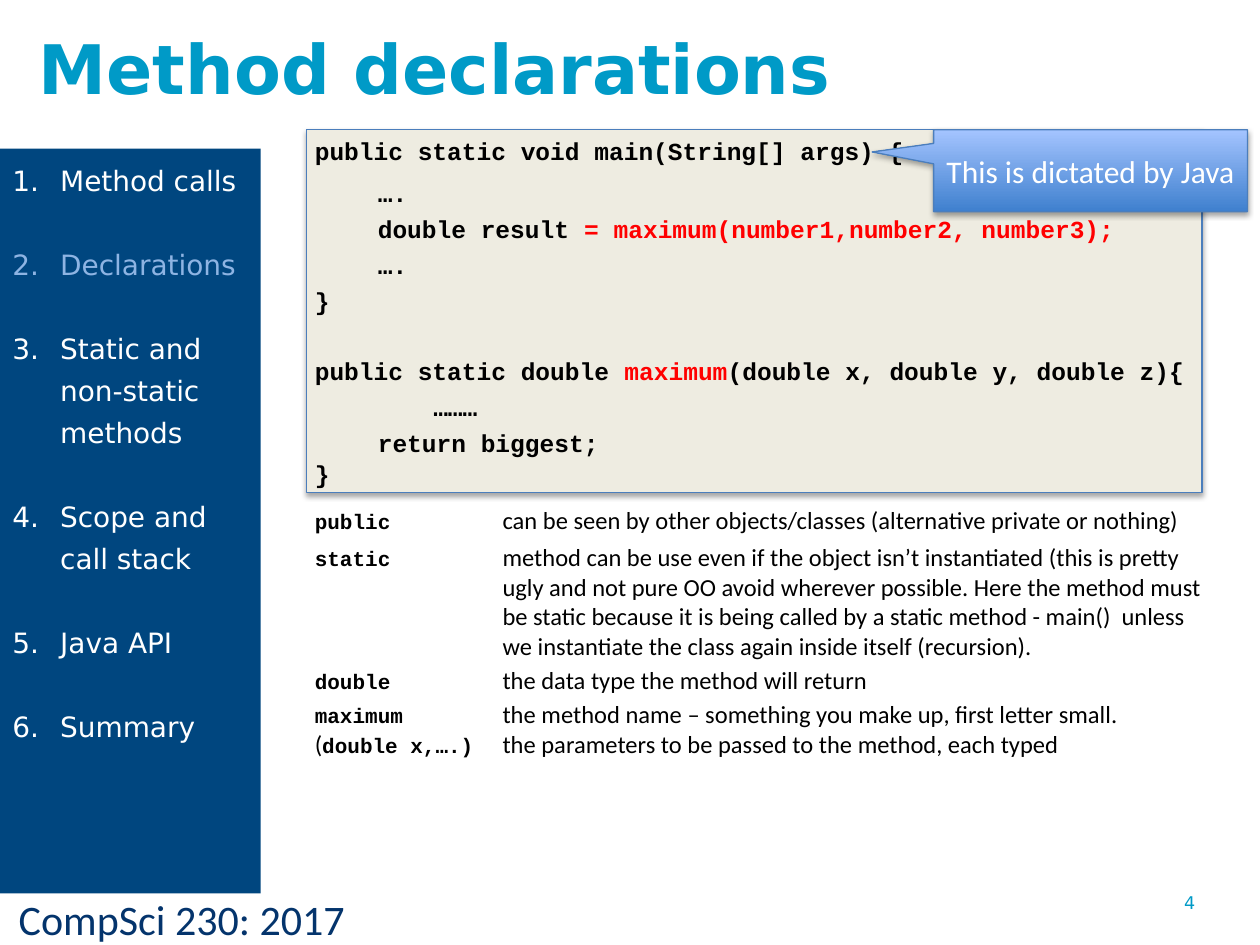
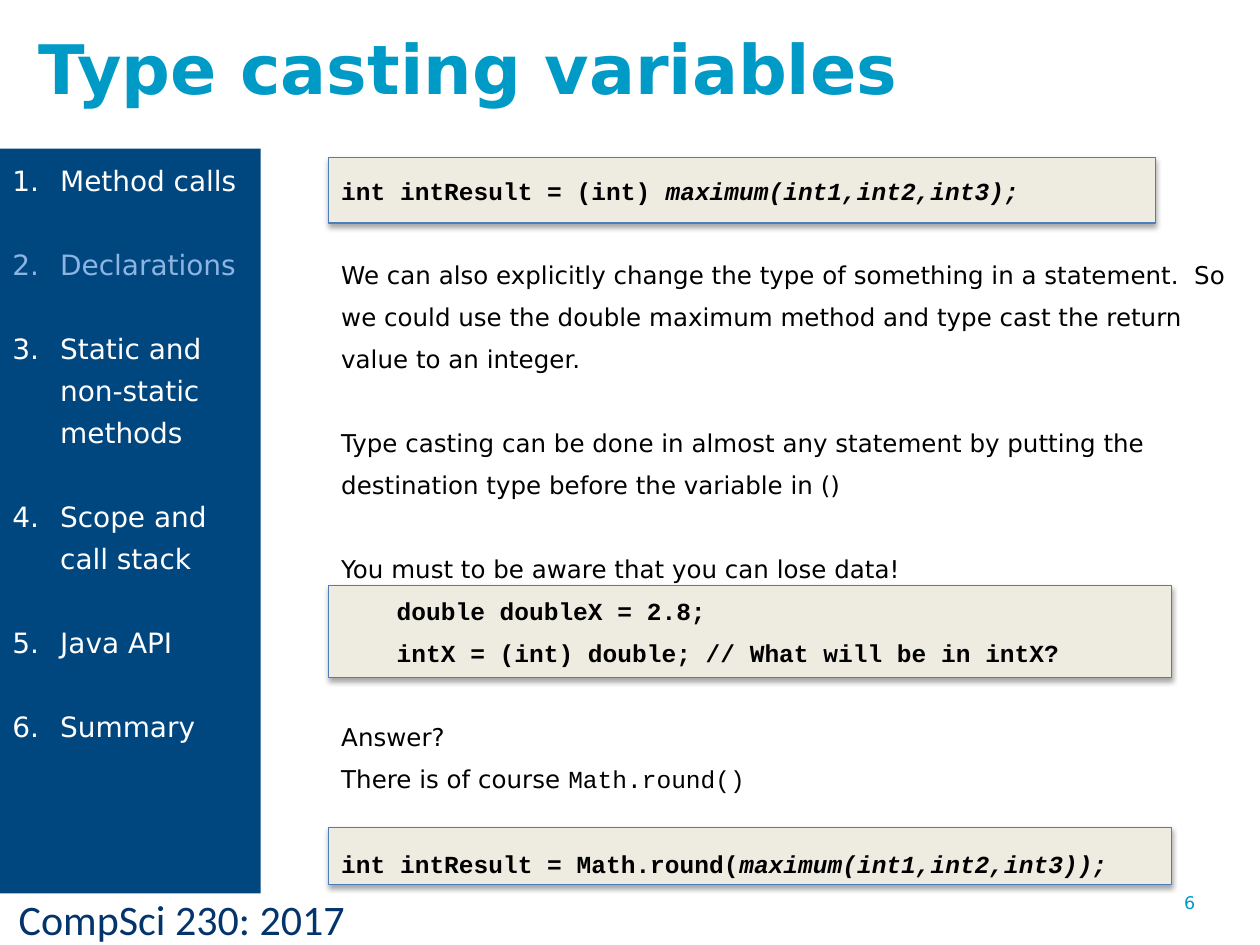
from collections import namedtuple
from dataclasses import dataclass

from lxml.etree import SubElement
from pptx import Presentation
from pptx.dml.color import RGBColor
from pptx.enum.shapes import MSO_SHAPE as Shape
from pptx.enum.text import MSO_ANCHOR as Anchor, PP_ALIGN as Align
from pptx.oxml.ns import qn
from pptx.util import Inches, Pt

Box = namedtuple("Box", "x y w h")


@dataclass(frozen=True)
class Theme:
    title: str = "009AC7"
    footer: str = "04346C"
    sidebar: str = "00467F"
    current: str = "8EB4E3"
    panel: str = "EEECE1"
    outline: str = "4B7EBC"
    callout_low: str = "3F80CE"
    callout_high: str = "A4C4FF"
    accent: str = "FF0000"
    black: str = "000000"
    white: str = "FFFFFF"
    sans: str = "DejaVu Sans"
    body: str = "Calibri"
    mono: str = "Courier New"
    title_size: int = 39
    footer_size: int = 24
    callout_size: int = 18
    topic_size: int = 16
    text_size: int = 14
    term_size: int = 12
    number_size: int = 10
    line: int = 24


THEME = Theme()
CODE = dict(font=THEME.mono, bold=True)
RED = dict(color=THEME.accent)
ITALIC = dict(italic=True)
TERM = dict(font=THEME.mono, bold=True, size=THEME.term_size)

TOPICS = ["Method calls", "Declarations", "Static and non-static methods",
          "Scope and call stack", "Java API", "Summary"]
CURRENT_TOPIC = "Declarations"


def rgb(value):
    return RGBColor.from_string(value)


def add_paragraph(frame, *runs, font=THEME.sans, size=THEME.text_size, color=THEME.black,
                  bold=False, italic=False, indent=0, hanging=0, before=0, line=None,
                  align=Align.LEFT, numbered=False):
    first = frame.paragraphs[0]
    paragraph = frame.add_paragraph() if first.runs else first
    paragraph.alignment = align
    paragraph.space_before = Pt(before)
    if line:
        paragraph.line_spacing = Pt(line)
    properties = paragraph._p.get_or_add_pPr()
    properties.set("marL", str(Inches(indent)))
    properties.set("indent", str(Inches(-hanging)))
    if numbered:
        SubElement(properties, qn("a:buFont"), typeface="+mj-lt")
        SubElement(properties, qn("a:buAutoNum"), type="arabicPeriod")
    base = dict(font=font, size=size, color=color, bold=bold, italic=italic)
    for part in runs:
        words, changes = (part, {}) if isinstance(part, str) else part
        style = base | changes
        run = paragraph.add_run()
        run.text = words
        run.font.name = style["font"]
        run.font.size = Pt(style["size"])
        run.font.color.rgb = rgb(style["color"])
        run.font.bold = style["bold"]
        run.font.italic = style["italic"]


def add_text_area(slide, box, anchor=Anchor.TOP):
    frame = slide.shapes.add_textbox(*map(Inches, box)).text_frame
    frame.word_wrap = True
    frame.vertical_anchor = anchor
    return frame


def add_block(slide, box, fill=None, outline=None, kind=Shape.RECTANGLE, shadow=False):
    block = slide.shapes.add_shape(kind, *map(Inches, box))
    block.shadow.inherit = False
    if fill:
        block.fill.solid()
        block.fill.fore_color.rgb = rgb(fill)
    if outline:
        block.line.color.rgb = rgb(outline)
        block.line.width = Pt(0.75)
    else:
        block.line.fill.background()
    if shadow:
        effects = block._element.spPr.find(qn("a:effectLst"))
        outer = SubElement(effects, qn("a:outerShdw"), blurRad=str(Pt(3.1)),
                           dist=str(Pt(1.8)), dir="5400000", rotWithShape="0")
        tint = SubElement(outer, qn("a:srgbClr"), val=THEME.black)
        SubElement(tint, qn("a:alpha"), val="35000")
    return block


def add_code_panel(slide, box):
    add_block(slide, box, THEME.panel, THEME.outline, shadow=True)


def add_sidebar(slide, box):
    frame = add_block(slide, box, THEME.sidebar).text_frame
    frame.word_wrap = True
    frame.vertical_anchor = Anchor.TOP
    for index, topic in enumerate(TOPICS):
        add_paragraph(frame, topic, size=THEME.topic_size, numbered=True,
                      color=THEME.current if topic == CURRENT_TOPIC else THEME.white,
                      indent=0.38, hanging=0.38, line=THEME.line,
                      before=THEME.line if index else 0)


def add_callout(slide, box, words):
    callout = add_block(slide, box, outline=THEME.outline,
                        kind=Shape.RECTANGULAR_CALLOUT, shadow=True)
    callout.adjustments[0], callout.adjustments[1] = -0.696, -0.229
    callout.fill.gradient()
    callout.fill.gradient_angle = 90
    for stop, color in zip(callout.fill.gradient_stops,
                           (THEME.callout_low, THEME.callout_high)):
        stop.color.rgb = rgb(color)
    frame = callout.text_frame
    frame.word_wrap = True
    frame.margin_left = frame.margin_right = Inches(0.05)
    frame.vertical_anchor = Anchor.MIDDLE
    add_paragraph(frame, words, font=THEME.body, size=THEME.callout_size,
                  color=THEME.white, align=Align.CENTER)


def start_slide(deck, title, number):
    slide = deck.slides.add_slide(deck.slide_layouts[6])
    add_paragraph(add_text_area(slide, Box(0.05, 7.04, 4.05, 0.5)), "CompSci 230: 2017",
                  font=THEME.body, size=THEME.footer_size, color=THEME.footer)
    add_paragraph(add_text_area(slide, Box(9.3, 7.03, 0.7, 0.52)), str(number),
                  size=THEME.number_size, color=THEME.title)
    add_paragraph(add_text_area(slide, Box(0.21, 0.14, 7.13, 0.78), Anchor.MIDDLE), title,
                  size=THEME.title_size, color=THEME.title, bold=True)
    add_sidebar(slide, Box(0, 1.18, 2.07, 5.91))
    return slide


def add_declaration_code(slide, box):
    add_code_panel(slide, box)
    frame = add_text_area(slide, Box(box.x - 0.03, box.y - 0.1, box.w + 0.4, box.h))
    gap = 3.75
    blank_line = 23.4
    add_paragraph(frame, "public static void main(String[] args) {", line=THEME.line, **CODE)
    add_paragraph(frame, "….", indent=0.5, line=THEME.line, **CODE)
    add_paragraph(frame, "double result ", ("= maximum(number1,number2, number3);", RED),
                  indent=0.5, before=gap, **CODE)
    add_paragraph(frame, "….", indent=0.5, before=gap, **CODE)
    add_paragraph(frame, "}", before=gap, **CODE)
    add_paragraph(frame, "public static double ", ("maximum", RED),
                  "(double x, double y, double z){", before=blank_line, **CODE)
    add_paragraph(frame, "………", indent=0.94, before=gap, **CODE)
    add_paragraph(frame, "return biggest;", indent=0.5, before=gap, **CODE)
    add_paragraph(frame, "}", before=0.5, **CODE)


def add_glossary(slide, box):
    frame = add_text_area(slide, box)
    entries = [
        ([("public", TERM)], 0,
         "can be seen by other objects/classes (alternative private or nothing)"),
        ([("static", TERM)], 4.5,
         "method can be use even if the object isn’t instantiated (this is pretty ugly and "
         "not pure OO avoid wherever possible. Here the method must be static because it is "
         "being called by a static method - main()  unless we instantiate the class again "
         "inside itself (recursion)."),
        ([("double", TERM)], 2.8, "the data type the method will return"),
        ([("maximum", TERM)], 2.8,
         "the method name – something you make up, first letter small."),
        (["(", ("double x,….)", TERM)], 0,
         "the parameters to be passed to the method, each typed"),
    ]
    for term, before, meaning in entries:
        add_paragraph(frame, *term, "\t" + meaning, font=THEME.body,
                      indent=1.49, hanging=1.49, before=before)


def add_casting_notes(slide, box):
    for top, width, height in [(0, 6.56, 0.52), (3.4, 6.69, 0.73), (5.32, 6.69, 0.45)]:
        add_code_panel(slide, Box(box.x, box.y + top, width, height))
    frame = add_text_area(slide, box)
    row = dict(line=THEME.line)
    section = dict(line=THEME.line, before=THEME.line)
    add_paragraph(frame, "int intResult = (int) ", ("maximum(int1,int2,int3);", ITALIC),
                  **row, **CODE)
    add_paragraph(frame, "We can also explicitly change the type of something in a "
                  "statement.  So we could use the double maximum method and type cast "
                  "the return value to an integer.", **section)
    add_paragraph(frame, "Type casting can be done in almost any statement by putting the "
                  "destination type before the variable in ()", **section)
    add_paragraph(frame, "You must to be aware that you can lose data!", **section)
    for code in ("double doubleX = 2.8;", "intX = (int) double; // What will be in intX?"):
        add_paragraph(frame, code, indent=0.44, **row, **CODE)
    add_paragraph(frame, "Answer?", **section)
    add_paragraph(frame, "There is of course ", ("Math.round()", dict(font=THEME.mono)), **row)
    add_paragraph(frame, "int intResult = Math.round(", ("maximum(int1,int2,int3));", ITALIC),
                  **section, **CODE)


def main():
    deck = Presentation()
    deck.slide_width, deck.slide_height = Inches(10), Inches(7.5)

    declarations = start_slide(deck, "Method declarations", 4)
    add_declaration_code(declarations, Box(2.43, 1.03, 7.11, 2.88))
    add_callout(declarations, Box(7.41, 1.03, 2.49, 0.65), "This is dictated by Java")
    add_glossary(declarations, Box(2.4, 3.96, 7.35, 3.1))

    casting = start_slide(deck, "Type casting variables", 6)
    add_casting_notes(casting, Box(2.61, 1.25, 7.39, 5.64))

    deck.save("out.pptx")


if __name__ == "__main__":
    main()
